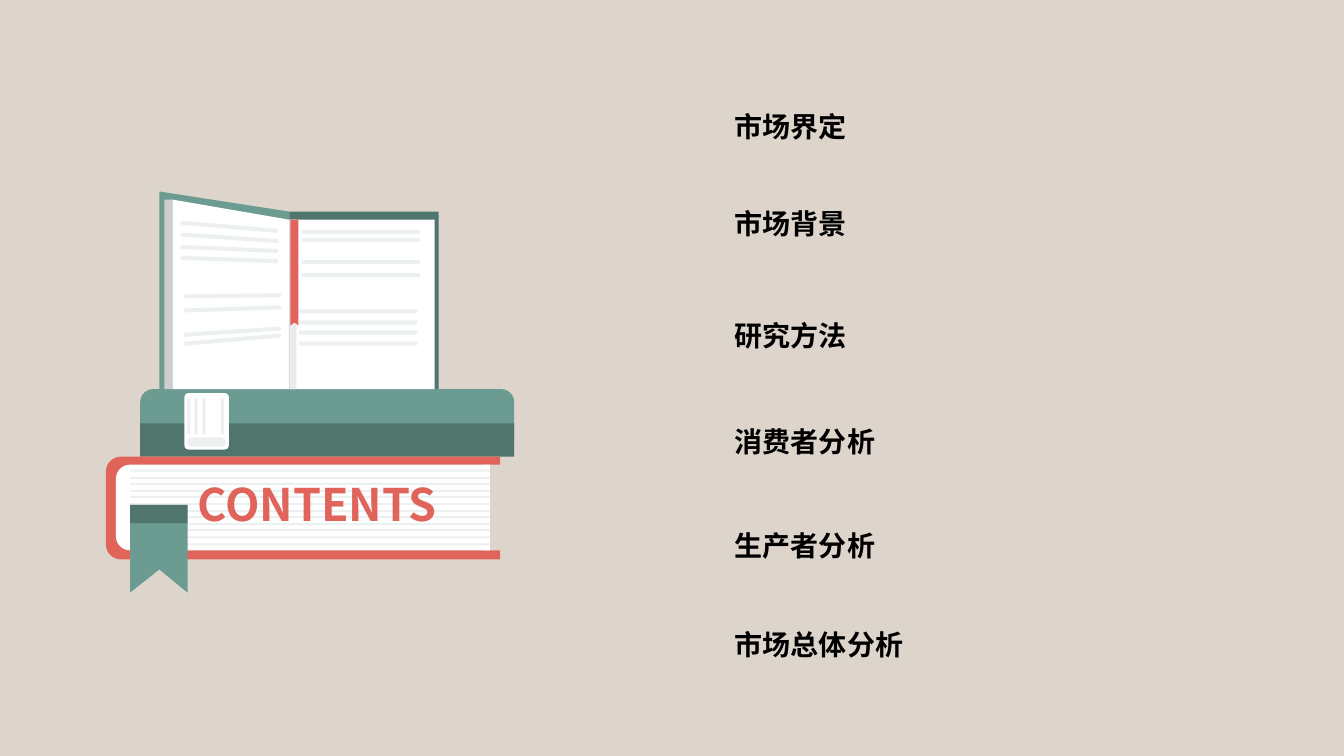
from math import cos, radians, sin

from lxml import etree
from pptx import Presentation
from pptx.dml.color import RGBColor
from pptx.enum.shapes import MSO_SHAPE
from pptx.enum.text import MSO_AUTO_SIZE
from pptx.oxml.ns import qn
from pptx.util import Pt

PX = 9144
FONT = "Noto Sans CJK SC"
RECT = MSO_SHAPE.RECTANGLE
ROUNDED = MSO_SHAPE.ROUNDED_RECTANGLE
FIT_TEXT = MSO_AUTO_SIZE.SHAPE_TO_FIT_TEXT
COLORS = {
    "background": "DDD5CB",
    "green": "6B9B91",
    "dark_green": "4F756D",
    "red": "E0645A",
    "white": "FFFFFF",
    "line": "ECF0F1",
    "page_edge": "CFCECE",
    "fold": "ECEBEB",
    "black": "000000",
}


def rgb(name):
    return RGBColor.from_string(COLORS[name])


def arc(x, y, radius, start, end, steps=8):
    angles = [radians(start + (end - start) * i / steps) for i in range(steps + 1)]
    return [(x + radius * cos(a), y + radius * sin(a)) for a in angles]


def round_left(left, top, right, bottom, radius):
    upper = arc(left + radius, top + radius, radius, 270, 180)
    lower = arc(left + radius, bottom - radius, radius, 180, 90)
    return [(right, top)] + upper + lower + [(right, bottom)]


class ContentsSlide:
    """Draws filled shapes and text on one slide, measured in px."""

    def __init__(self, slide):
        self.slide = slide
        self.shapes = slide.shapes
        slide.background.fill.solid()
        slide.background.fill.fore_color.rgb = rgb("background")

    def paint(self, shape, color):
        shape.shadow.inherit = False
        shape.fill.solid()
        shape.fill.fore_color.rgb = rgb(color)
        shape.line.fill.background()

    def box(self, left, top, width, height, color, radius=0):
        kind = ROUNDED if radius else RECT
        shape = self.shapes.add_shape(kind, left * PX, top * PX, width * PX, height * PX)
        if radius:
            shape.adjustments[0] = radius / min(width, height)
        self.paint(shape, color)

    def outline(self, points, color):
        corners = [(round(x * PX), round(y * PX)) for x, y in points]
        builder = self.shapes.build_freeform(*corners[0])
        builder.add_line_segments(corners[1:])
        self.paint(builder.convert_to_shape(), color)

    def slanted_line(self, left, left_y, right, right_y, color):
        ends = arc(left, left_y, 2, 90, 270) + arc(right, right_y, 2, -90, 90)
        self.outline(ends, color)

    def text(self, words, left, top, width, height, size, color):
        label = self.shapes.add_textbox(left * PX, top * PX, width * PX, height * PX)
        label.text_frame.word_wrap = True
        label.text_frame.auto_size = FIT_TEXT
        paragraph = label.text_frame.paragraphs[0]
        paragraph.text = words
        font = paragraph.font
        font.name = FONT
        font.size = Pt(size)
        font.bold = True
        font.color.rgb = rgb(color)
        latin = paragraph._p.find(".//" + qn("a:latin"))
        east_asian = etree.Element(qn("a:ea"), typeface=FONT)
        latin.addnext(east_asian)


def draw_green_book(page):
    page.box(139, 386, 371, 66, "green", 13)
    page.box(139, 420, 371, 33, "dark_green")
    page.box(183, 390, 44, 56, "white", 4)
    page.box(186, 434, 38, 9, "line", 4)
    for bar_x in (186, 193, 201, 219):
        page.box(bar_x, 395, 3, 36, "line", 1)


def draw_red_book(page):
    cover = round_left(105, 453, 496, 555, 15)
    page.outline(cover + [(496, 546), (478, 546), (478, 461), (496, 461)], "red")
    page.outline(round_left(115, 461, 486, 546, 14), "white")
    for i in range(12):
        page.box(129, 466 + round(i * 6.6), 357, 2, "line")
    page.outline([(129, 501), (186, 501), (186, 588), (158, 565), (129, 588)], "green")
    page.box(129, 501, 57, 18, "dark_green")


def draw_open_book(page):
    page.outline([(158, 190), (287, 210), (287, 386), (158, 386)], "green")
    page.outline([(171, 198), (287, 218), (287, 386), (171, 386)], "white")
    page.box(287, 210, 148, 176, "dark_green")
    page.box(287, 218, 144, 168, "white")
    page.box(163, 198, 8, 188, "page_edge")
    page.box(288, 218, 6, 168, "fold")
    for left, tops in ((299, (228, 236, 258, 271)), (296, (307, 318, 328, 339))):
        for top in tops:
            page.box(left, top, 118, 4, "line", 2)
    for left_y, right_y in ((221, 229), (233, 239), (245, 249), (256, 259)):
        page.slanted_line(181, left_y, 274, right_y, "line")
    for left_y, right_y in ((294, 293), (308, 305), (332, 326), (341, 333)):
        page.slanted_line(184, left_y, 277, right_y, "line")
    page.outline([(288, 218), (288, 323), (292, 320), (296, 323), (296, 218)], "red")


def main():
    deck = Presentation()
    deck.slide_width, deck.slide_height = 1333 * PX, 750 * PX
    page = ContentsSlide(deck.slides.add_slide(deck.slide_layouts[6]))
    page.shapes = page.slide.shapes.add_group_shape().shapes
    draw_green_book(page)
    draw_red_book(page)
    draw_open_book(page)
    page.text("CONTENTS", 186, 468, 324, 75, 32, "red")
    page.shapes = page.slide.shapes
    topics = {
        "市场界定": 104,
        "市场背景": 200,
        "研究方法": 311,
        "消费者分析": 416,
        "生产者分析": 519,
        "市场总体分析": 618,
    }
    for topic, top in topics.items():
        page.text(topic, 719, top, 596, 44, 20, "black")
    deck.save("out.pptx")


if __name__ == "__main__":
    main()
